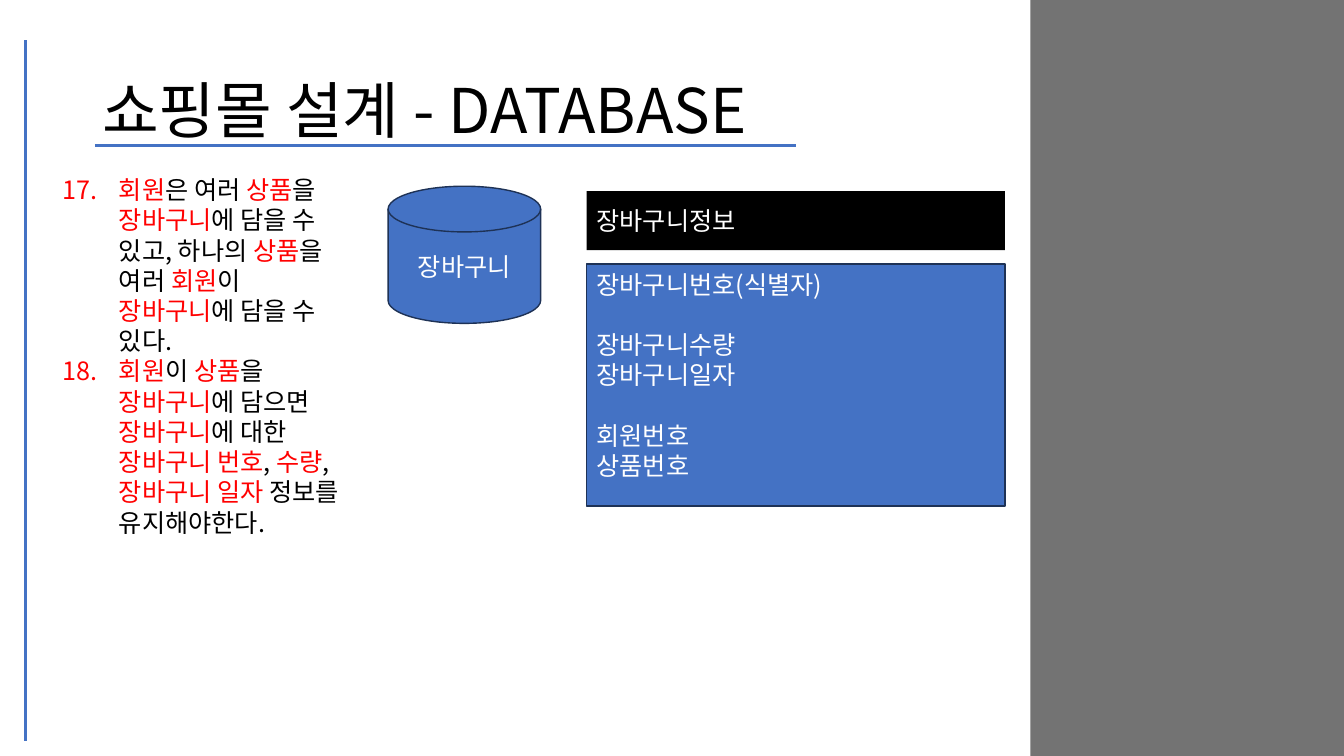
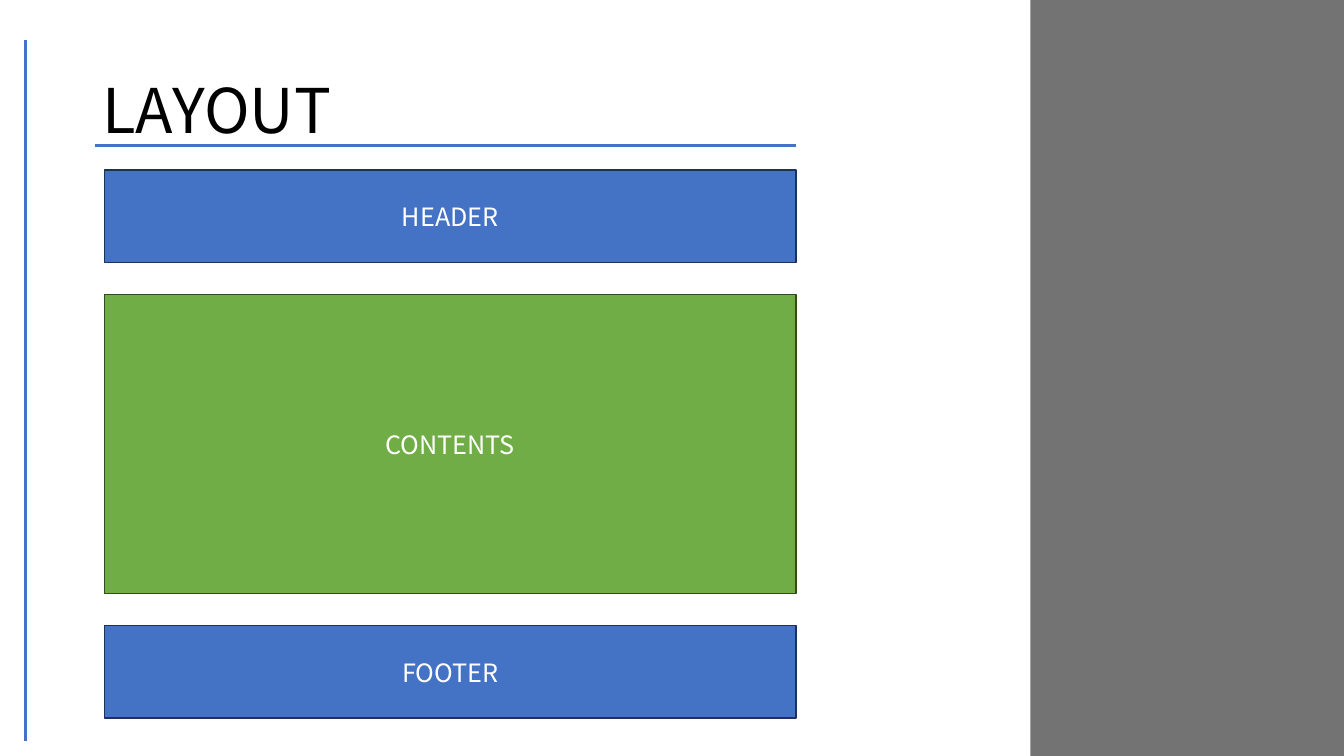
from dataclasses import dataclass

from lxml.etree import SubElement
from pptx import Presentation
from pptx.dml.color import RGBColor
from pptx.enum.shapes import MSO_CONNECTOR, MSO_SHAPE
from pptx.enum.text import MSO_ANCHOR, MSO_AUTO_SIZE, PP_ALIGN
from pptx.oxml.ns import qn
from pptx.util import Pt

COLORS = {
    "accent": "4472C4",
    "accent_line": "1E3256",
    "green": "70AD47",
    "green_line": "314C1F",
    "band": "737373",
    "mark": "FF0000",
    "black": "000000",
    "white": "FFFFFF",
}
FONT = "Noto Sans CJK KR"
SLIDE_WIDTH, SLIDE_HEIGHT = 960, 540
BAND_LEFT = 736
BODY_SIZE = 18
BLANK_LINE = 21.6
FIRST_NUMBER = 17
NUMBER_INDENT = 40.5
LAYOUT_LEFT, LAYOUT_TOP, LAYOUT_WIDTH, LAYOUT_GAP = 74.6, 121.5, 494, 23

REQUIREMENTS = [
    "*회원*은 여러 *상품*을 *장바구니*에 담을 수 있고, 하나의 *상품*을 여러 *회원*이 *장바구니*에 담을 수 있다.",
    "*회원*이 *상품*을 *장바구니*에 담으면 *장바구니*에 대한 *장바구니 번호*, *수량*, *장바구니 일자* 정보를 유지해야한다.",
]
CART_FIELD_GROUPS = [
    ["장바구니번호(식별자)"],
    ["장바구니수량", "장바구니일자"],
    ["회원번호", "상품번호"],
]


@dataclass
class Box:
    left: float
    top: float
    width: float
    height: float
    fill: str = "accent"
    line: str | None = "accent_line"
    preset: MSO_SHAPE = MSO_SHAPE.RECTANGLE


@dataclass
class Section:
    name: str
    height: float
    color: str


SECTIONS = [
    Section("HEADER", 66, "accent"),
    Section("CONTENTS", 213.5, "green"),
    Section("FOOTER", 66, "accent"),
]


def rgb(name: str) -> RGBColor:
    return RGBColor.from_string(COLORS[name])


def write_paragraph(paragraph, text: str, *, size=BODY_SIZE, color="white",
                    align=PP_ALIGN.LEFT, line_spacing=None, space_before=0,
                    number_from=None) -> None:
    if number_from:
        properties = paragraph._p.get_or_add_pPr()
        properties.set("marL", str(Pt(NUMBER_INDENT)))
        properties.set("indent", str(-Pt(NUMBER_INDENT)))
        SubElement(properties, qn("a:buAutoNum"), type="arabicPeriod", startAt=str(number_from))
    paragraph.alignment = align
    paragraph.space_before = Pt(space_before)
    if line_spacing:
        paragraph.line_spacing = line_spacing
    for index, part in enumerate(text.split("*")):
        if not part:
            continue
        run = paragraph.add_run()
        run.text = part
        run.font.size = Pt(size)
        run.font.name = FONT
        run.font.color.rgb = rgb("mark" if index % 2 else color)
        SubElement(run.font._element, qn("a:ea"), typeface=FONT)


def next_paragraph(frame, index: int):
    return frame.add_paragraph() if index else frame.paragraphs[0]


def add_box(slide, box: Box):
    shape = slide.shapes.add_shape(
        box.preset, Pt(box.left), Pt(box.top), Pt(box.width), Pt(box.height))
    shape.shadow.inherit = False
    shape.fill.solid()
    shape.fill.fore_color.rgb = rgb(box.fill)
    if box.line:
        shape.line.color.rgb = rgb(box.line)
        shape.line.width = Pt(1)
    else:
        shape.line.fill.background()
    shape.text_frame.word_wrap = True
    shape.text_frame.vertical_anchor = MSO_ANCHOR.MIDDLE
    return shape


def add_label_box(slide, box: Box, text: str, align=PP_ALIGN.CENTER) -> None:
    frame = add_box(slide, box).text_frame
    write_paragraph(frame.paragraphs[0], text, align=align)


def add_text_frame(slide, left: float, top: float, width: float, height: float):
    frame = slide.shapes.add_textbox(Pt(left), Pt(top), Pt(width), Pt(height)).text_frame
    frame.word_wrap = True
    return frame


def add_rule(slide, left: float, top: float, right: float, bottom: float) -> None:
    connector = slide.shapes.add_connector(
        MSO_CONNECTOR.STRAIGHT, Pt(left), Pt(top), Pt(right), Pt(bottom))
    connector.line.color.rgb = rgb("accent")
    connector.line.width = Pt(2.25)
    SubElement(connector._element.spPr, qn("a:effectLst"))


def add_titled_slide(presentation, title: str):
    slide = presentation.slides.add_slide(presentation.slide_layouts[6])
    add_box(slide, Box(BAND_LEFT, 0, SLIDE_WIDTH - BAND_LEFT, SLIDE_HEIGHT, "band", None))
    add_rule(slide, 18, 28.8, 18, 529.2)
    add_rule(slide, 67.7, 103.7, 568.3, 103.7)
    frame = add_text_frame(slide, 66, 28.8, 828, 104.4)
    frame.vertical_anchor = MSO_ANCHOR.MIDDLE
    write_paragraph(frame.paragraphs[0], title, size=44, color="black", line_spacing=0.9)
    return slide


def build_database_slide(presentation) -> None:
    slide = add_titled_slide(presentation, "쇼핑몰 설계 - DATABASE")
    add_label_box(
        slide, Box(277.2, 133, 109, 98, preset=MSO_SHAPE.FLOWCHART_MAGNETIC_DISK), "장바구니")

    fields = add_box(slide, Box(419, 188.5, 298.8, 173)).text_frame
    fields.vertical_anchor = MSO_ANCHOR.TOP
    rows = [
        (field, BLANK_LINE if group_index and not field_index else 0)
        for group_index, group in enumerate(CART_FIELD_GROUPS)
        for field_index, field in enumerate(group)
    ]
    for index, (field, gap) in enumerate(rows):
        write_paragraph(next_paragraph(fields, index), field, space_before=gap)
    add_label_box(
        slide, Box(419, 136.5, 298.8, 42.3, "black", None), "장바구니정보", PP_ALIGN.LEFT)

    requirements = add_text_frame(slide, 37.4, 121, 214.6, 269.3)
    requirements.auto_size = MSO_AUTO_SIZE.SHAPE_TO_FIT_TEXT
    for index, requirement in enumerate(REQUIREMENTS):
        write_paragraph(next_paragraph(requirements, index), requirement,
                        color="black", number_from=FIRST_NUMBER)


def build_layout_slide(presentation) -> None:
    slide = add_titled_slide(presentation, "LAYOUT")
    top = LAYOUT_TOP
    for section in SECTIONS:
        box = Box(LAYOUT_LEFT, top, LAYOUT_WIDTH, section.height,
                  section.color, f"{section.color}_line")
        add_label_box(slide, box, section.name)
        top += section.height + LAYOUT_GAP


def main() -> None:
    presentation = Presentation()
    presentation.slide_width = Pt(SLIDE_WIDTH)
    presentation.slide_height = Pt(SLIDE_HEIGHT)
    build_database_slide(presentation)
    build_layout_slide(presentation)
    presentation.save("out.pptx")


if __name__ == "__main__":
    main()
